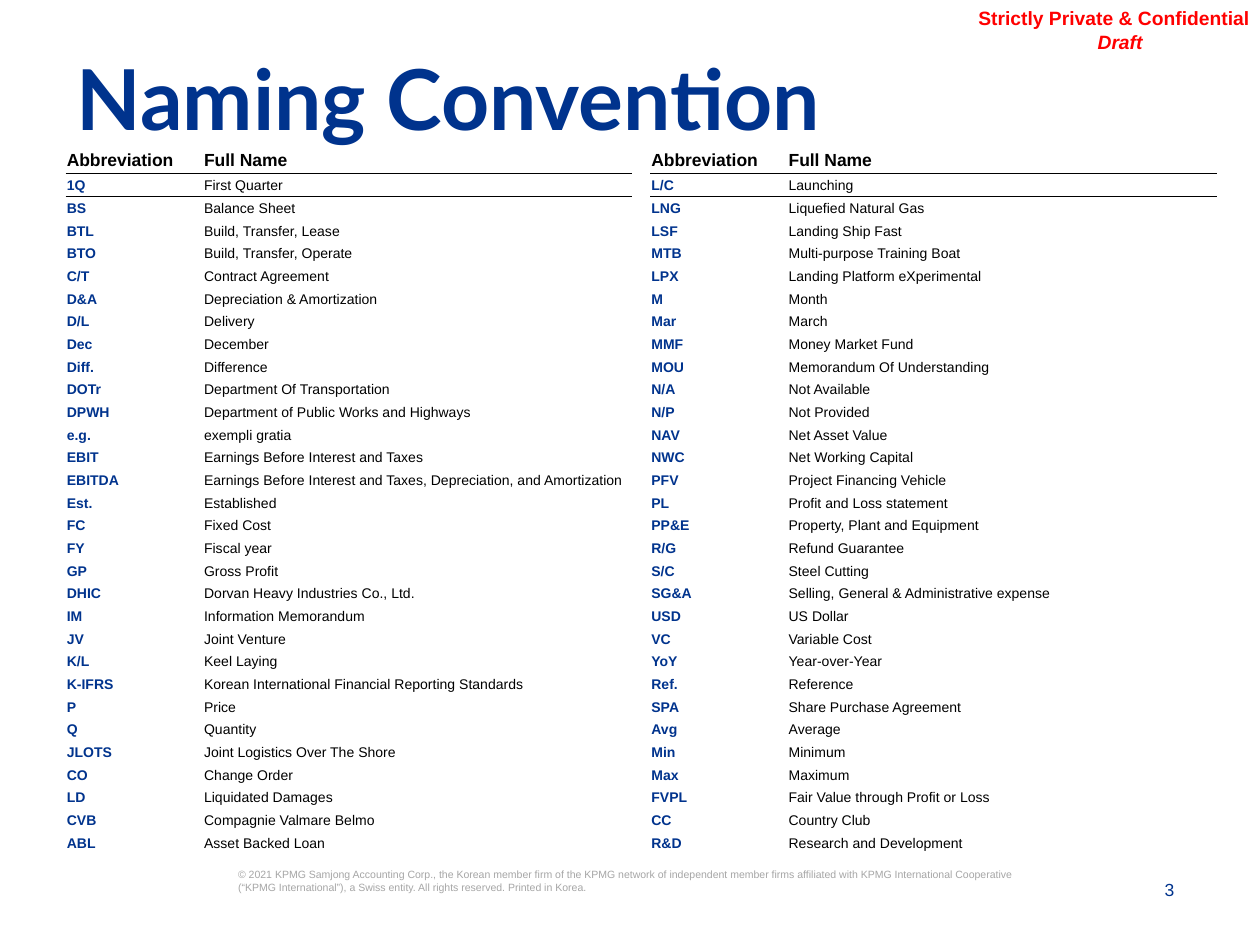
from lxml import etree
from pptx import Presentation
from pptx import util as u
from pptx.dml.color import RGBColor
from pptx.enum import text
from pptx.oxml.ns import qn

COLORS = {"blue": "00338D", "black": "000000", "red": "FF0000", "gray": "A6A6A6"}
NO_GRID = "{2D5ABB26-0587-4C30-8999-92F81FD0307C}"
HEADER = ("Abbreviation", "Full Name")
LEFT = [
    ("1Q", "First Quarter"),
    ("BS", "Balance Sheet"),
    ("BTL", "Build, Transfer, Lease"),
    ("BTO", "Build, Transfer, Operate"),
    ("C/T", "Contract Agreement"),
    ("D&A", "Depreciation & Amortization"),
    ("D/L", "Delivery"),
    ("Dec", "December"),
    ("Diff.", "Difference"),
    ("DOTr", "Department Of Transportation"),
    ("DPWH", "Department of Public Works and Highways"),
    ("e.g.", "exempli gratia"),
    ("EBIT", "Earnings Before Interest and Taxes"),
    ("EBITDA", "Earnings Before Interest and Taxes, Depreciation, and Amortization"),
    ("Est.", "Established"),
    ("FC", "Fixed Cost"),
    ("FY", "Fiscal year"),
    ("GP", "Gross Profit"),
    ("DHIC", "Dorvan Heavy Industries Co., Ltd."),
    ("IM", "Information Memorandum"),
    ("JV", "Joint Venture"),
    ("K/L", "Keel Laying"),
    ("K-IFRS", "Korean International Financial Reporting Standards"),
    ("P", "Price"),
    ("Q", "Quantity"),
    ("JLOTS", "Joint Logistics Over The Shore"),
    ("CO", "Change Order"),
    ("LD", "Liquidated Damages"),
    ("CVB", "Compagnie Valmare Belmo"),
    ("ABL", "Asset Backed Loan"),
]
RIGHT = [
    ("L/C", "Launching"),
    ("LNG", "Liquefied Natural Gas"),
    ("LSF", "Landing Ship Fast"),
    ("MTB", "Multi-purpose Training Boat"),
    ("LPX", "Landing Platform eXperimental"),
    ("M", "Month"),
    ("Mar", "March"),
    ("MMF", "Money Market Fund"),
    ("MOU", "Memorandum Of Understanding"),
    ("N/A", "Not Available"),
    ("N/P", "Not Provided"),
    ("NAV", "Net Asset Value"),
    ("NWC", "Net Working Capital"),
    ("PFV", "Project Financing Vehicle"),
    ("PL", "Profit and Loss statement"),
    ("PP&E", "Property, Plant and Equipment"),
    ("R/G", "Refund Guarantee"),
    ("S/C", "Steel Cutting"),
    ("SG&A", "Selling, General & Administrative expense"),
    ("USD", "US Dollar"),
    ("VC", "Variable Cost"),
    ("YoY", "Year-over-Year"),
    ("Ref.", "Reference"),
    ("SPA", "Share Purchase Agreement"),
    ("Avg", "Average"),
    ("Min", "Minimum"),
    ("Max", "Maximum"),
    ("FVPL", "Fair Value through Profit or Loss"),
    ("CC", "Country Club"),
    ("R&D", "Research and Development"),
]


class Deck:
    font = "Arial"

    def __init__(self, width, height):
        self.prs = Presentation()
        self.prs.slide_width = u.Inches(width)
        self.prs.slide_height = u.Inches(height)
        self.s = self.prs.slides.add_slide(self.prs.slide_layouts[5])

    def run(self, p, content, size, color, bold=False, italic=False, font=None):
        r = p.add_run()
        r.text = content
        r.font.name = font or self.font
        r.font.size = u.Pt(size)
        r.font.bold = bold
        r.font.italic = italic
        r.font.color.rgb = RGBColor.from_string(COLORS[color])

    def margins(self, box, *sizes):
        box.margin_left, box.margin_top, box.margin_right, box.margin_bottom = map(u.Inches, sizes)

    def title(self, content, at):
        sp = self.s.shapes.title
        sp.left, sp.top, sp.width, sp.height = map(u.Inches, at)
        tf = sp.text_frame
        tf.auto_size = text.MSO_AUTO_SIZE.NONE
        tf.vertical_anchor = text.MSO_ANCHOR.MIDDLE
        p = tf.paragraphs[0]
        p.alignment = text.PP_ALIGN.LEFT
        p.line_spacing = 0.7
        self.run(p, content, 48, "blue", bold=True, font="Lato")

    def label(self, content, at, size, color, align="LEFT", anchor="BOTTOM",
              insets=(0, 0, 0, 0), **style):
        tf = self.s.shapes.add_textbox(*map(u.Inches, at)).text_frame
        tf.word_wrap = True
        tf.vertical_anchor = text.MSO_ANCHOR[anchor]
        self.margins(tf, *insets)
        p = tf.paragraphs[0]
        p.alignment = text.PP_ALIGN[align]
        self.run(p, content, size, color, **style)

    def border(self, cell, side):
        tc_pr = cell._tc.get_or_add_tcPr()
        ln = etree.Element(qn(f"a:{side}"), w=str(u.Pt(0.5)))
        fill = etree.SubElement(ln, qn("a:solidFill"))
        etree.SubElement(fill, qn("a:srgbClr"), val=COLORS["black"])
        tc_pr.insert(0, ln)

    def cell(self, cell, content, row, col):
        self.margins(cell, 0.01, 0.01, 0.01, 0)
        cell.vertical_anchor = text.MSO_ANCHOR.MIDDLE
        cell.fill.background()
        p = cell.text_frame.paragraphs[0]
        if not content:
            etree.SubElement(p._p, qn("a:endParaRPr"), sz="800")
            return
        abbreviation = col in (0, 3)
        if row == 0:
            self.run(p, content, 10, "black", bold=True)
            self.border(cell, "lnB")
        else:
            self.run(p, content, 8, "blue" if abbreviation else "black", bold=abbreviation)
            if row == 1:
                self.border(cell, "lnT")

    def table(self, rows, at, widths, header_height, row_height):
        tbl = self.s.shapes.add_table(len(rows), len(widths), *map(u.Inches, at)).table
        tbl.first_row = tbl.horz_banding = False
        tbl._tbl.tblPr.find(qn("a:tableStyleId")).text = NO_GRID
        for column, width in zip(tbl.columns, widths):
            column.width = u.Inches(width)
        for i, values in enumerate(rows):
            tbl.rows[i].height = u.Inches(row_height if i else header_height)
            for j, value in enumerate(values):
                self.cell(tbl.cell(i, j), value, i, j)


def main():
    d = Deck(10, 7.5)
    d.label("© 2021 KPMG Samjong Accounting Corp., the Korean member firm of the KPMG network of "
            "independent member firms affiliated with KPMG International Cooperative "
            "(“KPMG International”), a Swiss entity. All rights reserved. Printed in Korea.",
            (1.89, 6.89, 6.36, 0.42), 6, "gray", anchor="TOP")
    d.label("3", (8.01, 6.98, 1.31, 0.16), 10, "blue", align="RIGHT")
    stamp = (0, 0.04, 0.04, 0.04)
    d.label("Strictly Private & Confidential", (7.46, -0.01, 2.5, 0.28), 11, "red",
            align="RIGHT", insets=stamp, bold=True)
    d.label("Draft", (7.85, 0.18, 2.12, 0.28), 11, "red",
            align="CENTER", insets=stamp, bold=True, italic=True)
    d.title("Naming Convention", (0.51, 0.47, 9.4, 0.79))
    rows = [(*a, "", *b) for a, b in zip([HEADER] + LEFT, [HEADER] + RIGHT)]
    d.table(rows, (0.52, 1.16, 9.14, 5.63), (1.09, 3.41, 0.14, 1.09, 3.41), 0.22, 0.18)
    d.prs.save("out.pptx")


if __name__ == "__main__":
    main()
